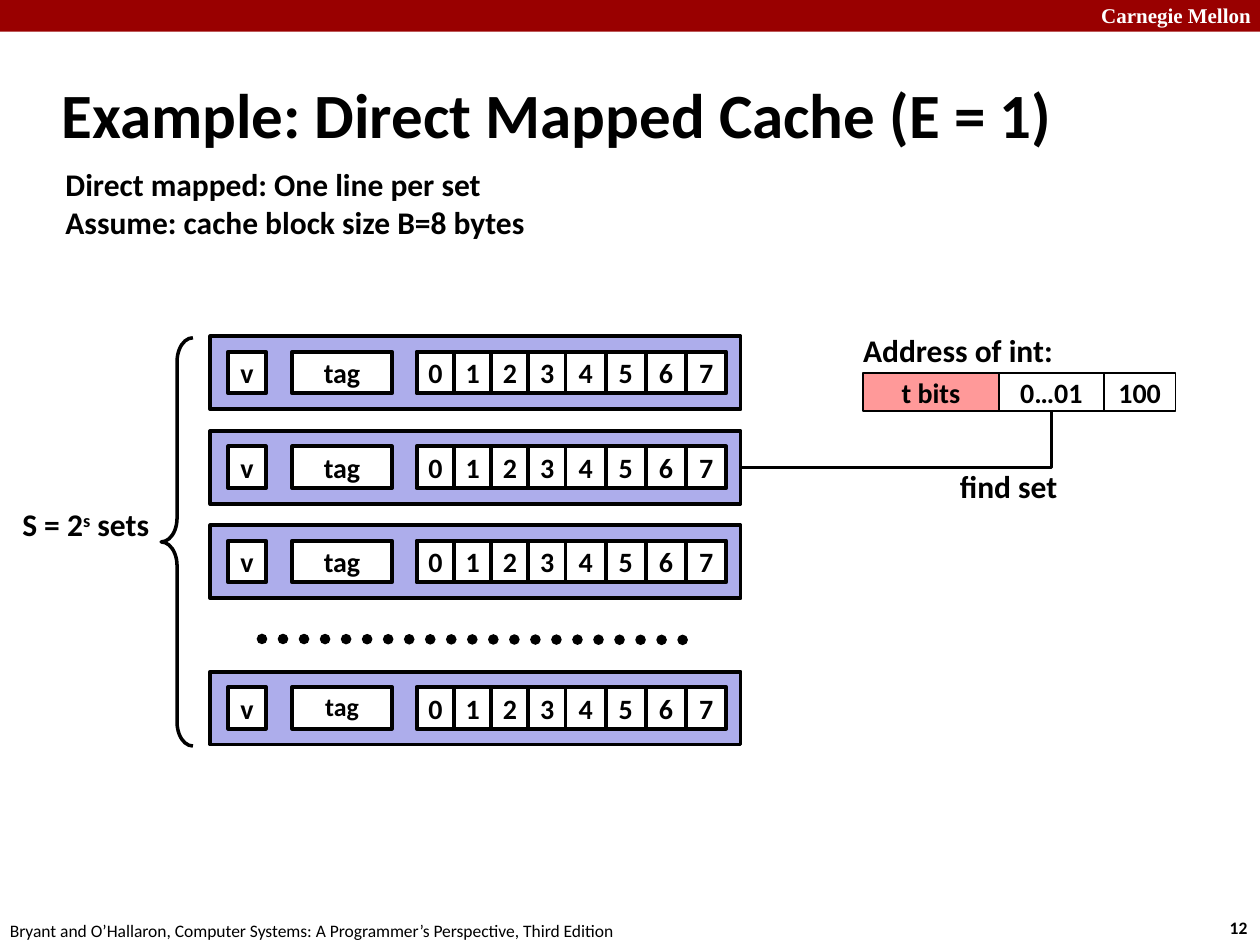
"""Build a slide that shows how a direct mapped cache finds a set."""
from dataclasses import dataclass

from lxml import etree
from pptx import Presentation
from pptx.dml.color import RGBColor
from pptx.enum.dml import MSO_LINE
from pptx.enum.shapes import MSO_CONNECTOR, MSO_SHAPE
from pptx.enum.text import MSO_ANCHOR, MSO_AUTO_SIZE, PP_ALIGN
from pptx.oxml.ns import qn
from pptx.shapes.autoshape import Shape
from pptx.shapes.connector import Connector
from pptx.slide import Slide
from pptx.text.text import TextFrame
from pptx.util import Cm, Pt

RECT, BRACE = MSO_SHAPE.RECTANGLE, MSO_SHAPE.LEFT_BRACE
LINE, ELBOW = MSO_CONNECTOR.STRAIGHT, MSO_CONNECTOR.ELBOW
LEFT, CENTER = PP_ALIGN.LEFT, PP_ALIGN.CENTER
TOP, MIDDLE = MSO_ANCHOR.TOP, MSO_ANCHOR.MIDDLE
GROW, FIXED = MSO_AUTO_SIZE.SHAPE_TO_FIT_TEXT, MSO_AUTO_SIZE.NONE
DOTS = MSO_LINE.ROUND_DOT

BLACK = RGBColor(0x00, 0x00, 0x00)
WHITE = RGBColor(0xFF, 0xFF, 0xFF)
RED = RGBColor(0x99, 0x00, 0x00)
PINK = RGBColor(0xFF, 0x99, 0x99)
LILAC = RGBColor(0xAD, 0xAD, 0xEB)

RIGHT_SIDE, BOTTOM_SIDE = 3, 2
ROW_LEFT, ROW_WIDTH, ROW_HEIGHT = 4.24, 10.69, 1.47
CELL_DROP, CELL_HEIGHT = 0.31, 0.84
ROW_TOPS = (6.78, 8.69, 10.59, 13.54)
FIELD_TOP, FIELD_HEIGHT = 7.52, 0.76


@dataclass(frozen=True)
class Area:
    left: float
    top: float
    width: float
    height: float

    def lengths(self) -> tuple[Cm, Cm, Cm, Cm]:
        return Cm(self.left), Cm(self.top), Cm(self.width), Cm(self.height)


@dataclass(frozen=True)
class Cell:
    text: str
    left: float
    width: float
    fill: RGBColor = WHITE


@dataclass(frozen=True)
class Label:
    text: str
    area: Area
    size: float = 18
    bold: bool = True
    wrap: bool = False
    font: str = "Calibri"
    color: RGBColor = BLACK
    anchor: MSO_ANCHOR = TOP
    fit: MSO_AUTO_SIZE = GROW


CELLS = (
    Cell("v", 4.6, 0.76),
    Cell("tag", 5.89, 2.01),
    *(Cell(str(i), 8.4 + 0.75 * i, 0.76) for i in range(4)),
    *(Cell(str(i + 4), 11.4 + 0.81 * i, 0.81) for i in range(4)),
)
FIELDS = (
    Cell("t bits", 17.4, 2.74, PINK),
    Cell("0…01", 20.14, 2.11),
    Cell("100", 22.25, 1.45),
)
LABELS = (
    Label("Carnegie Mellon", Area(21.95, -0.08, 3.63, 0.76), size=12,
          wrap=True, font="Times New Roman", color=WHITE),
    Label("12", Area(24.54, 18.36, 0.94, 0.69), size=10),
    Label("Bryant and O’Hallaron, Computer Systems: "
          "A Programmer’s Perspective, Third Edition",
          Area(-0.05, 18.42, 12.9, 0.69), size=10, bold=False),
    Label("Example: Direct Mapped Cache (E = 1)",
          Area(0.99, 1.22, 21.08, 2.11), size=36, wrap=True,
          anchor=MIDDLE, fit=FIXED),
    Label("S = 2^s^ sets", Area(0.2, 10.06, 3.12, 1.02)),
    Label("Direct mapped: One line per set\n"
          "Assume: cache block size B=8 bytes",
          Area(1.07, 3.2, 9.86, 1.8)),
    Label("Address of int:", Area(17.15, 6.55, 4.37, 1.02)),
    Label("find set", Area(19.1, 9.3, 2.49, 1.02)),
)


def write(frame: TextFrame, text: str, *, size: float = 16, bold: bool = True,
          font: str = "Calibri", color: RGBColor = BLACK,
          align: PP_ALIGN = LEFT, anchor: MSO_ANCHOR = TOP,
          wrap: bool = False, space: float = 1.0) -> None:
    """Fill a frame, one paragraph a line; carets enclose raised text."""
    frame.word_wrap, frame.vertical_anchor = wrap, anchor
    for i, line in enumerate(text.split("\n")):
        para = frame.add_paragraph() if i else frame.paragraphs[0]
        para.alignment, para.line_spacing = align, space
        for j, part in enumerate(line.split("^")):
            run = para.add_run()
            run.text = part
            run.font.size, run.font.bold = Pt(size), bold
            run.font.name, run.font.color.rgb = font, color
            if j % 2:
                run.font._element.set("baseline", "30000")


def add_label(slide: Slide, label: Label) -> None:
    """Place a text box."""
    frame = slide.shapes.add_textbox(*label.area.lengths()).text_frame
    write(frame, label.text, size=label.size, bold=label.bold,
          font=label.font, color=label.color, anchor=label.anchor,
          wrap=label.wrap)
    frame.auto_size = label.fit


def add_box(slide: Slide, area: Area, fill: RGBColor,
            weight: float = 0) -> Shape:
    """Draw a rectangle, outlined when a weight is given."""
    box = slide.shapes.add_shape(RECT, *area.lengths())
    box.shadow.inherit = False
    box.fill.solid()
    box.fill.fore_color.rgb = fill
    if weight:
        box.line.color.rgb, box.line.width = BLACK, Pt(weight)
    else:
        box.line.fill.background()
    return box


def add_cell(slide: Slide, cell: Cell, top: float, height: float,
             weight: float, **form) -> Shape:
    """Draw a rectangle with centred text."""
    area = Area(cell.left, top, cell.width, height)
    box = add_box(slide, area, cell.fill, weight)
    write(box.text_frame, cell.text, align=CENTER, anchor=MIDDLE, **form)
    return box


def add_row(slide: Slide, top: float) -> Shape:
    """Draw one cache line with its cells."""
    row = add_box(slide, Area(ROW_LEFT, top, ROW_WIDTH, ROW_HEIGHT),
                  LILAC, 2.25)
    for cell in CELLS:
        small = cell.text == "tag" and top == ROW_TOPS[-1]
        form = {"size": 14.8, "space": 0.9} if small else {}
        add_cell(slide, cell, top + CELL_DROP, CELL_HEIGHT, 2.25, **form)
    return row


def add_brace(slide: Slide, area: Area) -> None:
    """Draw the brace that spans all sets."""
    brace = slide.shapes.add_shape(BRACE, *area.lengths())
    brace.shadow.inherit = False
    brace.adjustments[0], brace.adjustments[1] = 0.75, 0.5
    brace.fill.background()
    brace.line.color.rgb, brace.line.width = BLACK, Pt(2)


def add_link(slide: Slide, kind: MSO_CONNECTOR, ends: tuple[float, ...],
             weight: float) -> Connector:
    """Draw a black connector without a shadow."""
    link = slide.shapes.add_connector(kind, *map(Cm, ends))
    link.line.color.rgb, link.line.width = BLACK, Pt(weight)
    etree.SubElement(link._element.spPr, qn("a:effectLst"))
    return link


def main() -> None:
    """Draw the slide and save it."""
    deck = Presentation()
    deck.slide_width, deck.slide_height = Cm(25.4), Cm(19.05)
    slide = deck.slides.add_slide(deck.slide_layouts[6])
    add_box(slide, Area(0, 0, 25.4, 0.64), RED)
    add_brace(slide, Area(3.25, 6.81, 0.64, 8.23))
    dots = add_link(slide, LINE, (5.28, 12.88, 13.97, 12.9), 6)
    dots.line.dash_style = DOTS
    dots.line._ln.set("cap", "rnd")
    fields = [add_cell(slide, field, FIELD_TOP, FIELD_HEIGHT, 1, wrap=True)
              for field in FIELDS]
    rows = [add_row(slide, top) for top in ROW_TOPS]
    link = add_link(slide, ELBOW, (14.93, 9.42, 21.2, 8.28), 2)
    link.begin_connect(rows[1], RIGHT_SIDE)
    link.end_connect(fields[1], BOTTOM_SIDE)
    link._element.spPr.find(qn("a:prstGeom")).set("prst", "bentConnector2")
    for label in LABELS:
        add_label(slide, label)
    deck.save("out.pptx")


if __name__ == "__main__":
    main()
